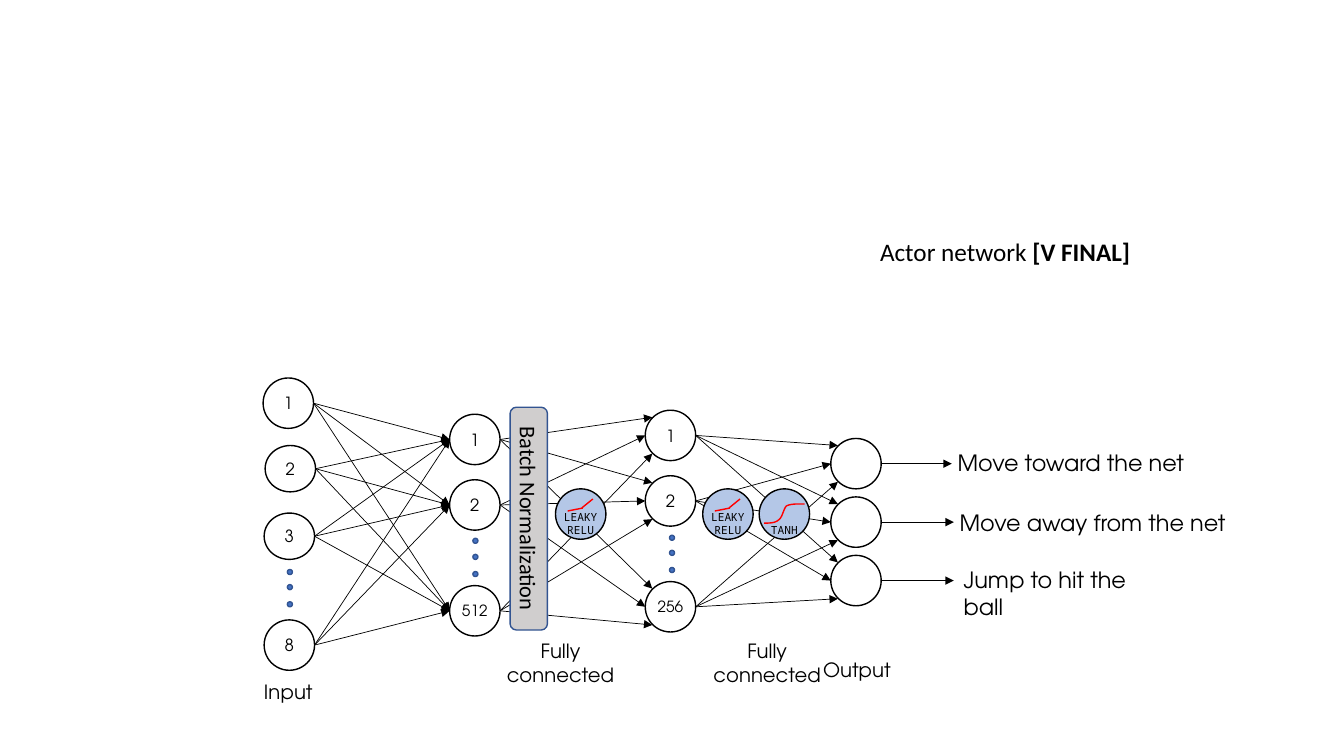
from lxml.etree import SubElement
from pptx import Presentation
from pptx.dml.color import RGBColor
from pptx.enum.shapes import MSO_CONNECTOR, MSO_SHAPE
from pptx.enum.text import MSO_ANCHOR, MSO_AUTO_SIZE, PP_ALIGN
from pptx.oxml.ns import qn
from pptx.util import Emu, Pt

# Content, lengths in px (100 px to the inch)
PX = 9144
SLIDE_SIZE = (1333, 750)
NODE = 50
DOT = 5
BLACK = RGBColor(0x00, 0x00, 0x00)
RED = RGBColor(0xFF, 0x00, 0x00)
GREY = RGBColor(0xD0, 0xCE, 0xCE)
BLUE = RGBColor(0x44, 0x72, 0xC4)
DARK_BLUE = RGBColor(0x32, 0x54, 0x91)
PALE_BLUE = RGBColor(0xB4, 0xC7, 0xE7)
SANS, BODY, MONO = "TeX Gyre Adventor", "Calibri", "Noto Sans Mono"

# Nodes: label, left, centre y, height
INPUTS = [("1", 261, 400, 50), ("2", 263, 465, 46), ("3", 262, 532, 46), ("8", 262, 640, 50)]
HIDDEN_1 = [(label, 446, y, NODE) for label, y in (("1", 436), ("2", 501), ("512", 606))]
HIDDEN_2 = [(label, 640, y, NODE) for label, y in (("1", 432), ("2", 497), ("256", 602))]
OUTPUTS = [("", 824, 460 + 58 * i, NODE) for i in range(3)]
LAYERS = [INPUTS, HIDDEN_1, HIDDEN_2, OUTPUTS]

# Ellipsis dots: left, tops
DOTS = [(285, (565, 580, 597)), (469, (534, 550, 567)), (664, (531, 546, 563))]

BATCH_BOX = (506, 404, 37, 221)
ACTION_ARROW_ENDS = (944, 946, 946)

# Captions: box, paragraphs of (text, bold) runs, size, font, alignment
CENTER, LEFT = PP_ALIGN.CENTER, PP_ALIGN.LEFT
FULLY_CONNECTED = [[("Fully", False)], [("connected", False)]]
CAPTIONS = [
    ((468, 629, 176, 57), FULLY_CONNECTED, 14, SANS, CENTER),
    ((673, 629, 176, 57), FULLY_CONNECTED, 14, SANS, CENTER),
    ((198, 670, 176, 34), [[("Input", False)]], 14, SANS, CENTER),
    ((762, 648, 176, 34), [[("Output", False)]], 14, SANS, CENTER),
    ((863, 230, 331, 40), [[("Actor network ", False), ("[V FINAL]", True)]], 18, BODY, LEFT),
    ((940, 441, 252, 37), [[("Move toward the net", False)]], 16, SANS, LEFT),
    ((942, 500, 285, 37), [[("Move away from the net", False)]], 16, SANS, LEFT),
    ((946, 557, 226, 37), [[("Jump to hit the ball", False)]], 16, SANS, LEFT),
]

# Activations: label, left, label top and height; curves are relative to the circle
ACTIVATION_TOP = 485
ACTIVATIONS = [("LEAKY RELU", 551, 21, 27), ("LEAKY RELU", 697, 21, 27), ("TANH", 753, 34, 13)]
LEAKY_LINES = [((12, 22), (27, 19)), ((26, 19), (37, 10))]
TANH_CURVES = [
    ((5, 34), (9, 34), (16, 34), (19, 31)),
    ((19, 31), (23, 29), (24, 20), (27, 17)),
    ((27, 17), (30, 15), (38, 15), (38, 15)),
]
TANH_END = (45, 15)

presentation = Presentation()
presentation.slide_width, presentation.slide_height = (Emu(v * PX) for v in SLIDE_SIZE)
slide = presentation.slides.add_slide(presentation.slide_layouts[6])


def emu(values):
    return [Emu(round(v * PX)) for v in values]


def write(frame, paragraphs, size, font, align=CENTER, inset=None):
    frame.word_wrap = True
    if inset is not None:
        frame.margin_left = frame.margin_right = Emu(inset * PX)
        frame.margin_top = frame.margin_bottom = Emu(inset * PX)
    for i, runs in enumerate(paragraphs):
        paragraph = frame.add_paragraph() if i else frame.paragraphs[0]
        paragraph.alignment = align
        for text, bold in runs:
            run = paragraph.add_run()
            run.text = text
            run.font.size, run.font.name, run.font.bold = Pt(size), font, bold
            run.font.color.rgb = BLACK


def add_text(shapes, box, *text_style, **options):
    frame = shapes.add_textbox(*emu(box)).text_frame
    write(frame, *text_style, **options)
    frame.auto_size = MSO_AUTO_SIZE.SHAPE_TO_FIT_TEXT


def paint(shape, fill, line):
    shape.shadow.inherit = False
    if fill is None:
        shape.fill.background()
    else:
        shape.fill.solid()
        shape.fill.fore_color.rgb = fill
    shape.line.color.rgb = line
    shape.line.width = Pt(1)


def add_shape(shapes, kind, box, fill=None, line=BLACK):
    shape = shapes.add_shape(kind, *emu(box))
    paint(shape, fill, line)
    return shape


def add_line(shapes, start, end, color=BLACK, width=0.5, arrow=True):
    line = shapes.add_connector(MSO_CONNECTOR.STRAIGHT, *emu(start + end))
    line.line.color.rgb = color
    line.line.width = Pt(width)
    if arrow:
        SubElement(line.line._get_or_add_ln(), qn("a:tailEnd"), type="triangle")
    SubElement(line.element.spPr, qn("a:effectLst"))


def bezier(points, t):
    weights = ((1 - t) ** 3, 3 * t * (1 - t) ** 2, 3 * t * t * (1 - t), t ** 3)
    return tuple(sum(w * p[axis] for w, p in zip(weights, points)) for axis in (0, 1))


# Links: each source meets the target at its upper left, left or lower left
PORTS = [(7, -18), (0, 0), (7, 18)]
for sources, targets in zip(LAYERS, LAYERS[1:]):
    for i, (_, left, y, _) in enumerate(sources):
        dx, dy = (0, 0) if sources is INPUTS else PORTS[i]
        for _, target_left, target_y, _ in targets:
            add_line(slide.shapes, (left + NODE, y), (target_left + dx, target_y + dy))

# Nodes and ellipsis dots
for layer in LAYERS:
    for label, left, y, height in layer:
        node = add_shape(slide.shapes, MSO_SHAPE.OVAL, (left, y - height / 2, NODE, height))
        if label:
            node.text_frame.vertical_anchor = MSO_ANCHOR.MIDDLE
            write(node.text_frame, [[(label, False)]], 11 if len(label) > 1 else 12, SANS, inset=4)
for left, tops in DOTS:
    for top in tops:
        add_shape(slide.shapes, MSO_SHAPE.OVAL, (left, top, DOT, DOT), BLUE, DARK_BLUE)

# Batch normalization bar
batch = add_shape(slide.shapes, MSO_SHAPE.ROUNDED_RECTANGLE, BATCH_BOX, GREY, DARK_BLUE)
write(batch.text_frame, [[("Batch Normalization", False)]], 16, BODY)
batch.text_frame.vertical_anchor = MSO_ANCHOR.MIDDLE
batch.element.txBody.bodyPr.set("vert", "vert")

# Action arrows and captions
for (_, left, y, _), end in zip(OUTPUTS, ACTION_ARROW_ENDS):
    add_line(slide.shapes, (left + NODE, y), (end, y))
for caption in CAPTIONS:
    add_text(slide.shapes, *caption)

# Activation functions
for label, left, text_top, text_height in ACTIVATIONS:
    shapes = slide.shapes.add_group_shape().shapes
    top = ACTIVATION_TOP
    add_shape(shapes, MSO_SHAPE.OVAL, (left, top, NODE, NODE), PALE_BLUE)
    if label == "TANH":
        points = [bezier(c, step / 8) for c in TANH_CURVES for step in range(1, 9)] + [TANH_END]
        placed = [emu((left + x, top + y)) for x, y in [TANH_CURVES[0][0]] + points]
        builder = shapes.build_freeform(*placed[0])
        builder.add_line_segments(placed[1:], close=False)
        paint(builder.convert_to_shape(), None, RED)
    else:
        for (x1, y1), (x2, y2) in LEAKY_LINES:
            add_line(shapes, (left + x1, top + y1), (left + x2, top + y2), RED, 1, arrow=False)
    add_text(shapes, (left + 5, top + text_top, 40, text_height), [[(label, False)]], 8, MONO, inset=0)

presentation.save("out.pptx")
